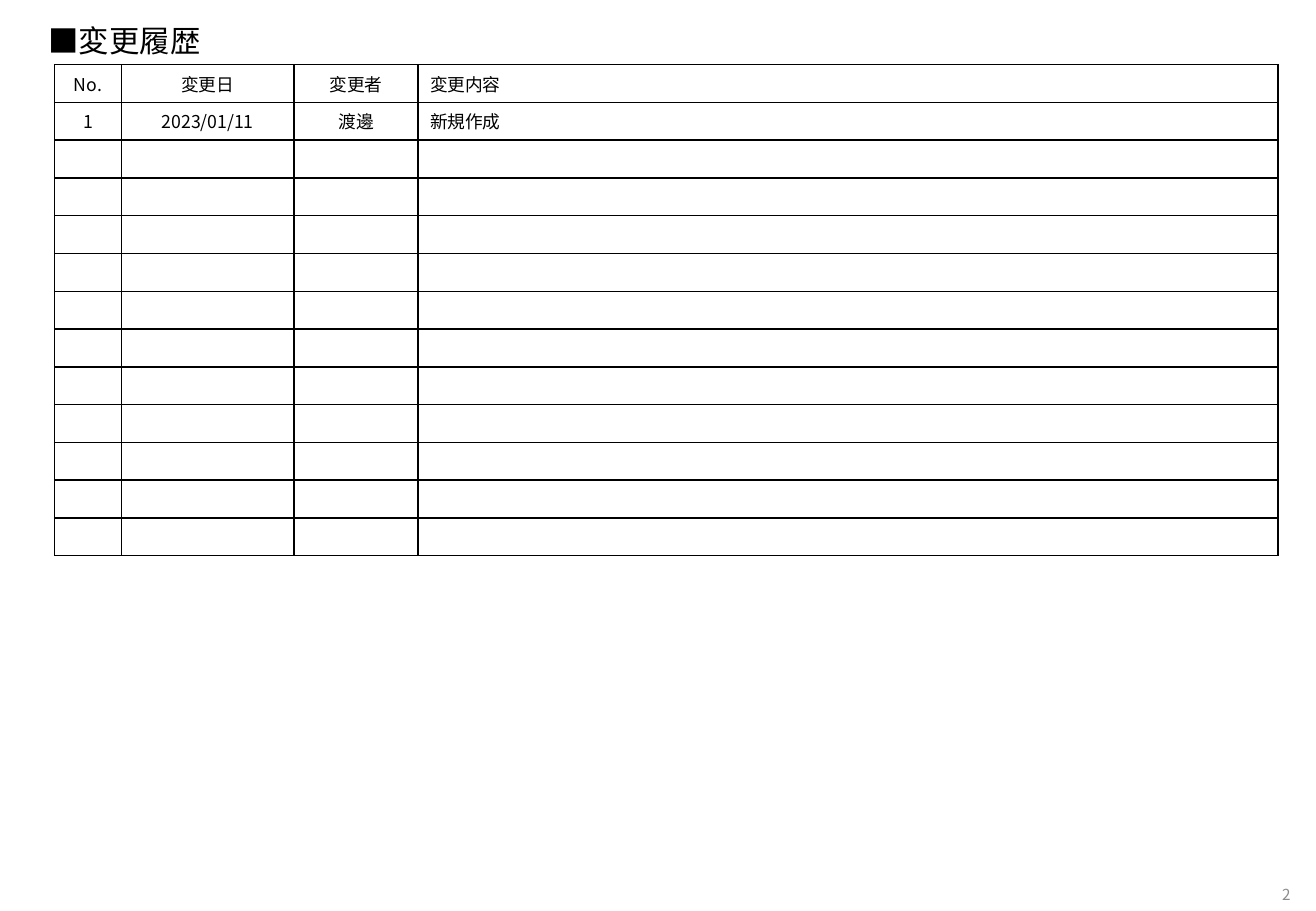
from lxml import etree
from pptx import Presentation, util as u
from pptx.dml.color import RGBColor
from pptx.enum import text as t
from pptx.oxml import ns

FONT = "Noto Sans CJK JP"


def write(paragraph, words, size, colour, align, face=FONT):
    paragraph.alignment = align
    run = paragraph.add_run()
    run.text = words
    for name, value in {"size": u.Pt(size), "name": face, "bold": False}.items():
        setattr(run.font, name, value)
    run.font.color.rgb = RGBColor.from_string(colour)
    etree.SubElement(run.font._element, ns.qn("a:ea"), typeface=face)


def add_borders(cell, colour, points):
    properties = cell._tc.get_or_add_tcPr()
    for index, side in enumerate(("lnL", "lnR", "lnT", "lnB")):
        line = etree.Element(ns.qn(f"a:{side}"), w=str(u.Pt(points)))
        fill = etree.SubElement(line, ns.qn("a:solidFill"))
        etree.SubElement(fill, ns.qn("a:srgbClr"), val=colour)
        properties.insert(index, line)


deck = Presentation()
deck.slide_width, deck.slide_height = u.Cm(27.51), u.Cm(19.05)
slide = deck.slides.add_slide(deck.slide_layouts[5])
left, center, right = t.PP_ALIGN.LEFT, t.PP_ALIGN.CENTER, t.PP_ALIGN.RIGHT

heading = slide.shapes.title
heading_format = {"left": u.Cm(0.76), "top": u.Cm(0.33), "width": u.Cm(3.71), "height": u.Cm(1.02)}
for name, value in heading_format.items():
    setattr(heading, name, value)
heading.text_frame.word_wrap = False
heading.text_frame.auto_size = t.MSO_AUTO_SIZE.SHAPE_TO_FIT_TEXT
write(heading.text_frame.paragraphs[0], "■変更履歴", 18, "000000", left)

column_widths = [1.4, 3.61, 2.59, 17.98]
row_count, row_height = 13, 0.79
entries = [
    ["No.", "変更日", "変更者", "変更内容"],
    ["1", "2023/01/11", "渡邊", "新規作成"],
]
history = slide.shapes.add_table(
    row_count, len(column_widths), u.Cm(1.14), u.Cm(1.35),
    u.Cm(sum(column_widths)), u.Cm(row_count * row_height)).table
history.first_row = history.horz_banding = False
for column, width in zip(history.columns, column_widths):
    column.width = u.Cm(width)
cell_format = {"vertical_anchor": t.MSO_ANCHOR.MIDDLE, "margin_top": u.Cm(0.05), "margin_bottom": u.Cm(0.05)}
for row_index, row in enumerate(history.rows):
    row.height = u.Cm(row_height)
    for column_index, cell in enumerate(row.cells):
        for name, value in cell_format.items():
            setattr(cell, name, value)
        cell.fill.background()
        add_borders(cell, "000000", 1)
        paragraph = cell.text_frame.paragraphs[0]
        if row_index < len(entries):
            align = left if column_index == 3 else center
            write(paragraph, entries[row_index][column_index], 10.5, "000000", align)
        else:
            etree.SubElement(paragraph._p, ns.qn("a:endParaRPr"), sz="1050")

page_number = slide.shapes.add_textbox(u.Cm(25.6), u.Cm(18.49), u.Cm(1.63), u.Cm(0.41)).text_frame
page_number.word_wrap = True
page_number.vertical_anchor = t.MSO_ANCHOR.MIDDLE
page_number.margin_top = page_number.margin_bottom = 0
write(page_number.paragraphs[0], "2", 9, "8C8C8C", right, "Noto Sans CJK KR")

deck.save("out.pptx")
